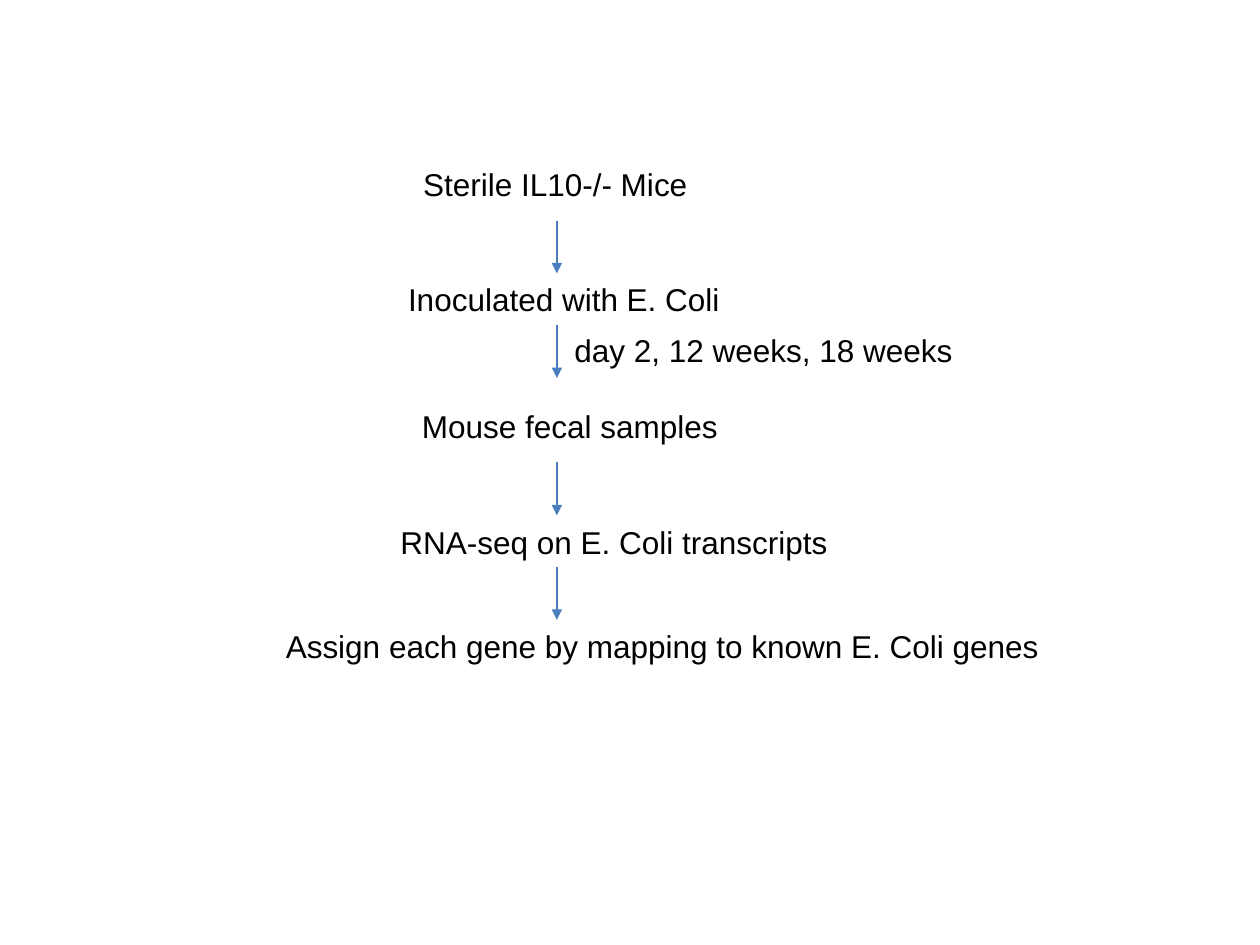
from lxml import etree
from pptx import Presentation
from pptx.dml.color import RGBColor
from pptx.enum.shapes import MSO_CONNECTOR
from pptx.enum.text import MSO_AUTO_SIZE
from pptx.oxml.ns import qn
from pptx.util import Inches, Pt

STRAIGHT = MSO_CONNECTOR.STRAIGHT
FIT_SHAPE = MSO_AUTO_SIZE.SHAPE_TO_FIT_TEXT
LABEL_HEIGHT = 0.4
ARROW_X = 4.42
ARROW_LENGTH = 0.42

LABELS = [
    ("Sterile IL10-/- Mice", 3.26, 1.26, 2.32),
    ("Inoculated with E. Coli", 3.14, 2.17, 2.7),
    ("day 2, 12 weeks, 18 weeks", 4.46, 2.58, 3.23),
    ("Mouse fecal samples", 3.25, 3.18, 2.57),
    ("RNA-seq on E. Coli transcripts", 3.08, 4.1, 3.62),
    ("Assign each gene by mapping to known E. Coli genes", 2.17, 4.93, 6.23),
]
ARROW_TOPS = [1.75, 2.58, 3.67, 4.5]


def color(value):
    """Turn a hex string into a colour."""
    return RGBColor.from_string(value)


def add_label(slide, text, left, top, width):
    """Add one unwrapped line of text."""
    box = slide.shapes.add_textbox(
        Inches(left), Inches(top), Inches(width), Inches(LABEL_HEIGHT)
    )
    frame = box.text_frame
    frame.text = text
    frame.word_wrap = False
    frame.auto_size = FIT_SHAPE
    font = frame.paragraphs[0].runs[0].font
    font.name = "Arial"
    font.size = Pt(18)
    font.color.rgb = color("000000")


def add_down_arrow(slide, top):
    """Add a vertical arrow that points to the next step."""
    arrow = slide.shapes.add_connector(
        STRAIGHT,
        Inches(ARROW_X), Inches(top),
        Inches(ARROW_X), Inches(top + ARROW_LENGTH),
    )
    arrow.line.color.rgb = color("4B7EBC")
    arrow.line.width = Pt(0.75)
    properties = arrow.element.spPr
    line = properties.find(qn("a:ln"))
    etree.SubElement(line, qn("a:tailEnd"), type="triangle")
    etree.SubElement(properties, qn("a:effectLst"))


def main():
    """Build the experiment flow slide."""
    deck = Presentation()
    deck.slide_width = Inches(10)
    deck.slide_height = Inches(7.5)
    slide = deck.slides.add_slide(deck.slide_layouts[6])
    for label in LABELS:
        add_label(slide, *label)
    for top in ARROW_TOPS:
        add_down_arrow(slide, top)
    deck.save("out.pptx")


if __name__ == "__main__":
    main()
